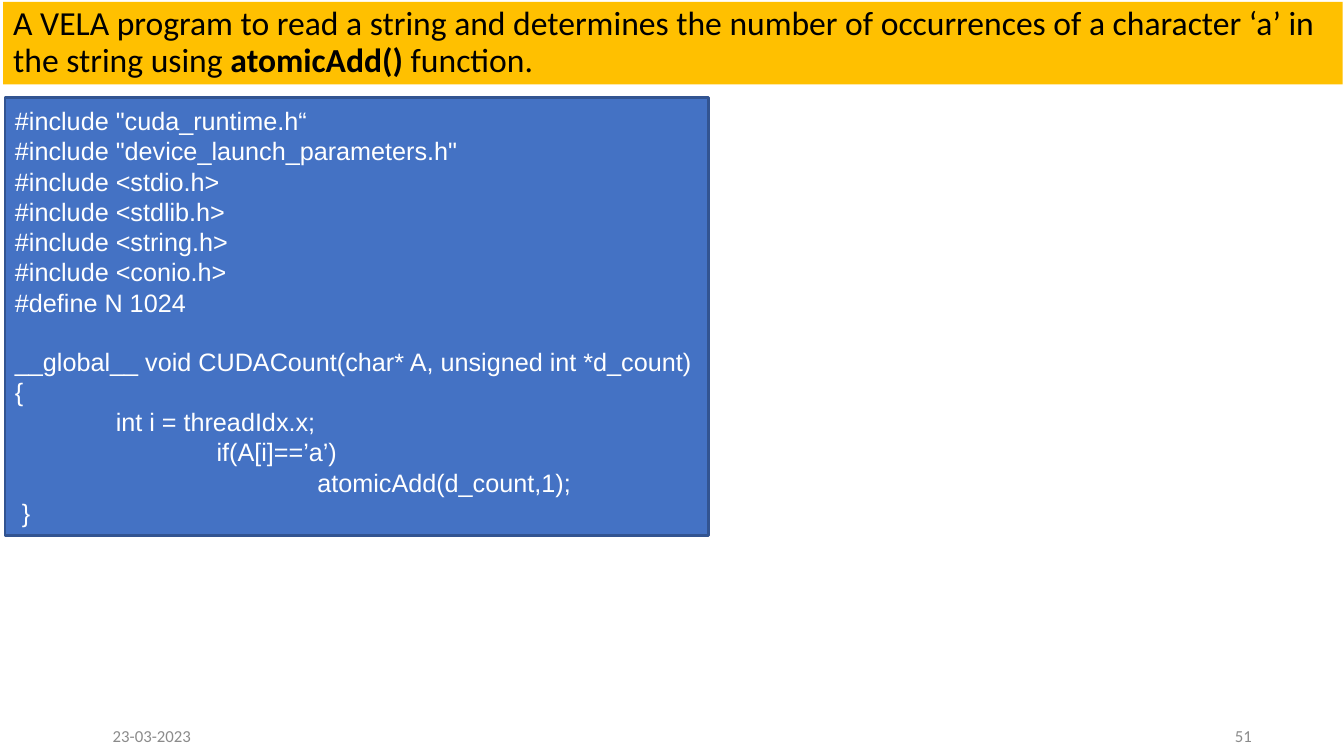
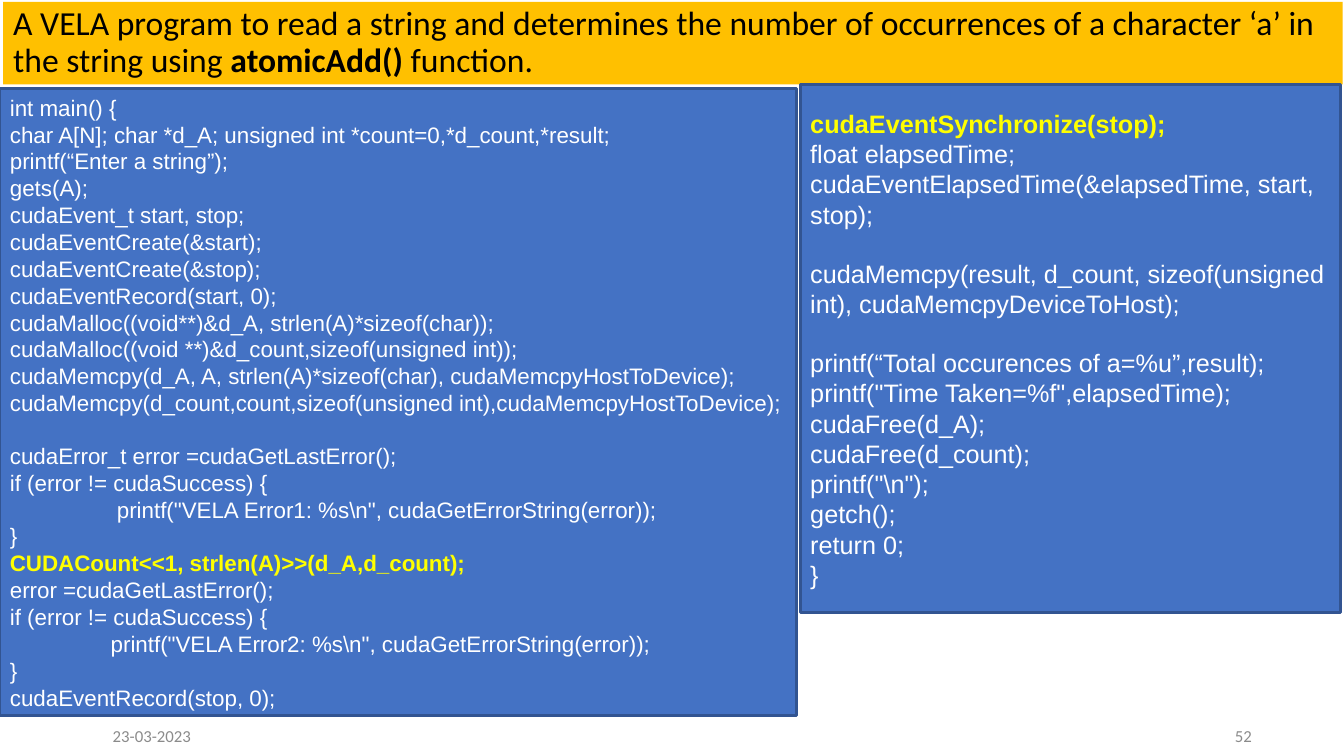
from dataclasses import dataclass

from pptx import Presentation
from pptx.dml.color import RGBColor
from pptx.enum.shapes import MSO_SHAPE
from pptx.enum.text import MSO_ANCHOR, MSO_AUTO_SIZE, PP_ALIGN
from pptx.util import Pt


@dataclass(frozen=True)
class Theme:
    band: RGBColor = RGBColor(0xFF, 0xC0, 0x00)
    panel: RGBColor = RGBColor(0x44, 0x72, 0xC4)
    panel_edge: RGBColor = RGBColor(0x32, 0x54, 0x91)
    title_text: RGBColor = RGBColor(0x00, 0x00, 0x00)
    code_text: RGBColor = RGBColor(0xFF, 0xFF, 0xFF)
    highlight: RGBColor = RGBColor(0xFF, 0xFF, 0x00)
    footer_text: RGBColor = RGBColor(0x8B, 0x8B, 0x8B)
    heading_font: str = "Calibri"
    code_font: str = "Arial"
    title_size: int = 24
    footer_size: int = 12
    code_size: int = 18
    small_code_size: int = 16
    edge_width: int = 2
    indent: int = 72
    line_height: float = 1.15


theme = Theme()

FRAME_FORMAT = {
    "word_wrap": True,
    "auto_size": MSO_AUTO_SIZE.NONE,
    "vertical_anchor": MSO_ANCHOR.MIDDLE,
}
TITLE_BOX = (2.2, 1.4, 956.9, 59)
TITLE_RUNS = [
    ("A VELA program to read a string and determines the number of "
     "occurrences of a character ‘a’ in the string using ", False),
    ("atomicAdd() ", True),
    ("function.", False),
]
DATE_BOX = (73.4, 511.2, 216, 28.8)
NUMBER_BOX = (685.4, 511.2, 216, 28.8)
FIRST_NUMBER = 51
HIGHLIGHTED = {
    "CUDACount<<1, strlen(A)>>(d_A,d_count);",
    "cudaEventSynchronize(stop);",
}

KERNEL = r'''#include "cuda_runtime.h“
#include "device_launch_parameters.h"
#include <stdio.h>
#include <stdlib.h>
#include <string.h>
#include <conio.h>
#define N 1024

__global__ void CUDACount(char* A, unsigned int *d_count)
{
    int i = threadIdx.x;
        if(A[i]==’a’)
            atomicAdd(d_count,1);
 }'''

LAUNCH = r'''int main() {
char A[N]; char *d_A; unsigned int *count=0,*d_count,*result;
printf(“Enter a string”);
gets(A);
cudaEvent_t start, stop;
cudaEventCreate(&start);
cudaEventCreate(&stop);
cudaEventRecord(start, 0);
cudaMalloc((void**)&d_A, strlen(A)*sizeof(char));
cudaMalloc((void **)&d_count,sizeof(unsigned int));
cudaMemcpy(d_A, A, strlen(A)*sizeof(char), cudaMemcpyHostToDevice);
cudaMemcpy(d_count,count,sizeof(unsigned int),cudaMemcpyHostToDevice);

cudaError_t error =cudaGetLastError();
if (error != cudaSuccess) {
     printf("VELA Error1: %s\n", cudaGetErrorString(error));
}
CUDACount<<1, strlen(A)>>(d_A,d_count);
error =cudaGetLastError();
if (error != cudaSuccess) {
    printf("VELA Error2: %s\n", cudaGetErrorString(error));
}
cudaEventRecord(stop, 0);'''

RESULTS = r'''cudaEventSynchronize(stop);
float elapsedTime;
cudaEventElapsedTime(&elapsedTime, start, stop);

cudaMemcpy(result, d_count, sizeof(unsigned int), cudaMemcpyDeviceToHost);

printf(“Total occurences of a=%u”,result);
printf("Time Taken=%f",elapsedTime);
cudaFree(d_A);
cudaFree(d_count);
printf("\n");
getch();
return 0;
}'''

SLIDES = [
    [((3.6, 69.8, 502.6, 312.5), theme.code_size, KERNEL)],
    [((0, 63.4, 568.8, 447.8), theme.small_code_size, LAUNCH),
     ((571.7, 60.5, 385.9, 377.3), theme.code_size, RESULTS)],
]


def apply_format(target, values):
    for attribute, value in values.items():
        setattr(target, attribute, value)


def add_run(paragraph, text, font, size, color, bold=False):
    run = paragraph.add_run()
    run.text = text
    apply_format(run.font, {"name": font, "size": Pt(size), "bold": bold})
    run.font.color.rgb = color


deck = Presentation()
apply_format(deck, {"slide_width": Pt(960), "slide_height": Pt(540)})

for number, panels in enumerate(SLIDES, FIRST_NUMBER):
    slide = deck.slides.add_slide(deck.slide_layouts[5])

    title = slide.shapes.title
    apply_format(title, dict(zip(("left", "top", "width", "height"), map(Pt, TITLE_BOX))))
    title.fill.solid()
    title.fill.fore_color.rgb = theme.band
    apply_format(title.text_frame, FRAME_FORMAT)
    heading = title.text_frame.paragraphs[0]
    apply_format(heading, {"alignment": PP_ALIGN.LEFT, "line_spacing": 0.9})
    for text, bold in TITLE_RUNS:
        add_run(heading, text, theme.heading_font, theme.title_size, theme.title_text, bold)

    for box, text, alignment in [
        (DATE_BOX, "23-03-2023", PP_ALIGN.LEFT),
        (NUMBER_BOX, str(number), PP_ALIGN.RIGHT),
    ]:
        footer = slide.shapes.add_textbox(*map(Pt, box)).text_frame
        apply_format(footer, FRAME_FORMAT)
        footer.paragraphs[0].alignment = alignment
        add_run(footer.paragraphs[0], text, theme.heading_font, theme.footer_size, theme.footer_text)

    for box, size, code in panels:
        panel = slide.shapes.add_shape(MSO_SHAPE.RECTANGLE, *map(Pt, box))
        panel.shadow.inherit = False
        panel.fill.solid()
        panel.fill.fore_color.rgb = theme.panel
        panel.line.color.rgb = theme.panel_edge
        panel.line.width = Pt(theme.edge_width)
        listing = panel.text_frame
        apply_format(listing, FRAME_FORMAT)
        for section_index, section in enumerate(code.split("\n\n")):
            for line_index, line in enumerate(section.split("\n")):
                first_line = section_index == line_index == 0
                statement = listing.paragraphs[0] if first_line else listing.add_paragraph()
                statement.alignment = PP_ALIGN.LEFT
                if section_index and not line_index:
                    statement.space_before = Pt(round(size * theme.line_height, 1))
                level = (len(line) - len(line.lstrip())) // 4
                if level:
                    statement._p.get_or_add_pPr().set("marL", str(Pt(level * theme.indent)))
                bold = line in HIGHLIGHTED
                color = theme.highlight if bold else theme.code_text
                add_run(statement, line[level * 4:], theme.code_font, size, color, bold)

deck.save("out.pptx")
